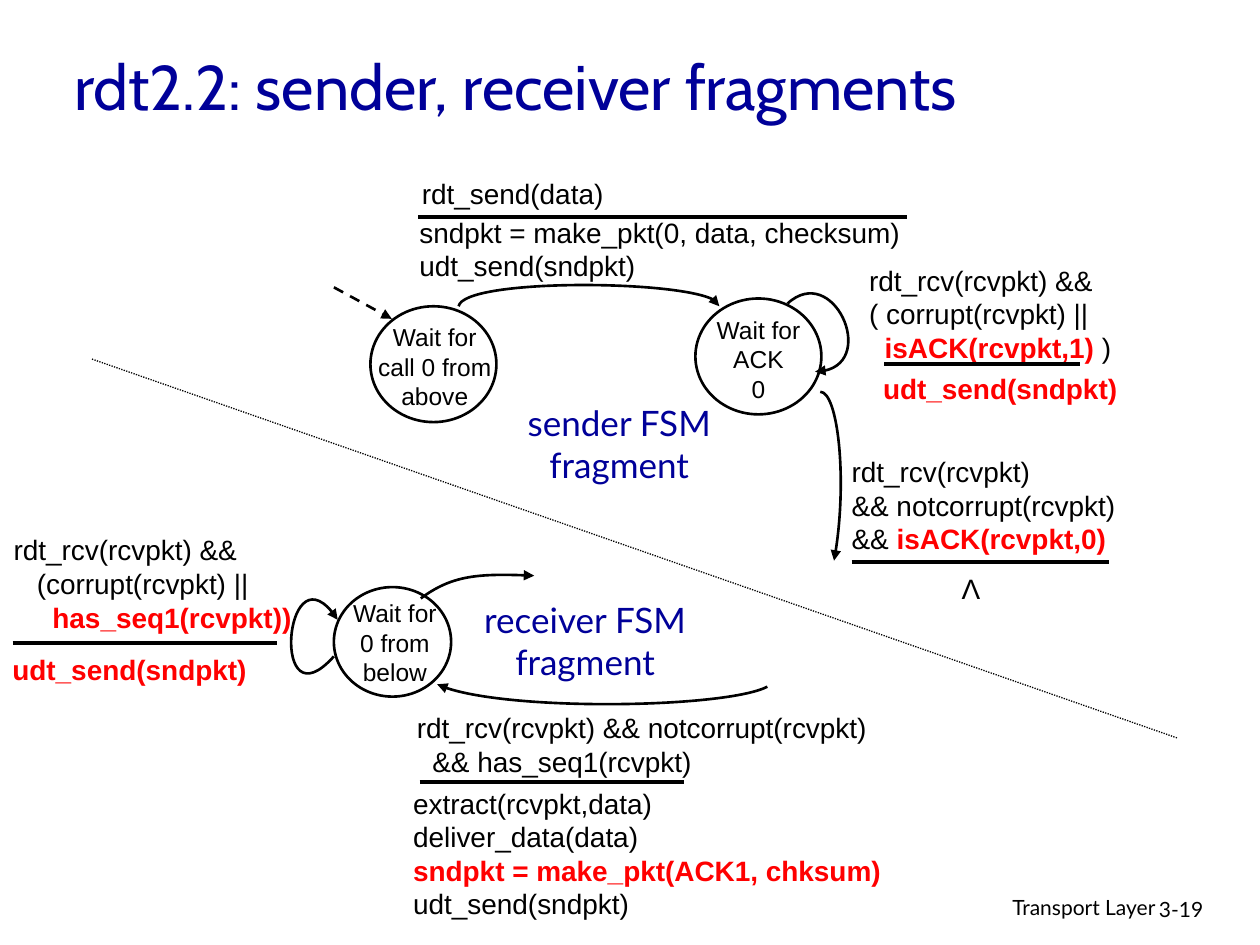
import pptx
import pptx.dml.color
import pptx.enum.dml
import pptx.enum.shapes
import pptx.enum.text
import pptx.oxml
import pptx.oxml.ns
import pptx.util
from lxml import etree

Pt = pptx.util.Pt
qn = pptx.oxml.ns.qn
RGBColor = pptx.dml.color.RGBColor
ALIGN = pptx.enum.text.PP_ALIGN
DASH = pptx.enum.dml.MSO_LINE

BLACK = RGBColor(0x00, 0x00, 0x00)
WHITE = RGBColor(0xFF, 0xFF, 0xFF)
RED = RGBColor(0xFF, 0x00, 0x00)
NAVY = RGBColor(0x00, 0x00, 0x99)


def add_run(p, text, size, font, color, bold=False):
    """Append one formatted run to a paragraph."""
    r = p.add_run()
    r.text = text
    r.font.size = Pt(size)
    r.font.name = font
    r.font.color.rgb = color
    r.font.bold = bold


def add_text(slide, x, y, w, h, lines, size=16, font="Arial", color=BLACK,
             align=ALIGN.LEFT, wrap=True, indents=()):
    """Add a text box; a line is a string or a list of (text, is_key) runs."""
    tf = slide.shapes.add_textbox(Pt(x), Pt(y), Pt(w), Pt(h)).text_frame
    tf.word_wrap = wrap
    for i, line in enumerate(lines):
        p = tf.paragraphs[0] if i == 0 else tf.add_paragraph()
        p.alignment = align
        if i < len(indents):
            p._p.get_or_add_pPr().set("marL", str(Pt(indents[i])))
        for text, key in [(line, False)] if isinstance(line, str) else line:
            add_run(p, text, size, font, RED if key else color, key)


def add_arrowhead(sp):
    """Put a triangle at the end of a line."""
    etree.SubElement(sp.line._get_or_add_ln(), qn("a:tailEnd"), type="triangle")


def add_line(slide, x1, y1, x2, y2, width=2.25, dash=None, arrow=False):
    """Add a straight black line."""
    sp = slide.shapes.add_connector(pptx.enum.shapes.MSO_CONNECTOR.STRAIGHT,
                                    Pt(x1), Pt(y1), Pt(x2), Pt(y2))
    sp.line.color.rgb = BLACK
    sp.line.width = Pt(width)
    if dash:
        sp.line.dash_style = dash
    if arrow:
        add_arrowhead(sp)
    etree.SubElement(sp._element.spPr, qn("a:effectLst"))


def add_curve(slide, x, y, points):
    """Add a curved arrow along a cubic Bezier, with points offset by x, y."""
    start, *rest = [(Pt(x + px), Pt(y + py)) for px, py in points]
    builder = slide.shapes.build_freeform(*start)
    builder.add_line_segments(rest, close=False)
    sp = builder.convert_to_shape()
    outline = next(sp._element.iter(qn("a:path")))
    bezier = etree.SubElement(outline, qn("a:cubicBezTo"))
    for segment in outline.findall(qn("a:lnTo")):
        bezier.append(segment[0])
        outline.remove(segment)
    sp.shadow.inherit = False
    sp.fill.background()
    sp.line.color.rgb = BLACK
    sp.line.width = Pt(1.5)
    add_arrowhead(sp)


def add_state(slide, x, y, w, h, label_dx, label_dy, label_w, lines):
    """Add a state circle with its label."""
    sp = slide.shapes.add_shape(pptx.enum.shapes.MSO_SHAPE.OVAL,
                                Pt(x), Pt(y), Pt(w), Pt(h))
    sp.shadow.inherit = False
    sp.fill.solid()
    sp.fill.fore_color.rgb = WHITE
    sp.line.color.rgb = BLACK
    sp.line.width = Pt(1.5)
    add_text(slide, x + label_dx, y + label_dy, label_w, 48, lines,
             size=14, align=ALIGN.CENTER)


def add_caption(slide, x, y, w, name):
    """Add the navy caption of one state machine."""
    add_text(slide, x, y, w, 55.4, [name, "fragment"], size=20, font="Lato",
             color=NAVY, align=ALIGN.CENTER, wrap=False)


def add_title(slide, x, y, w, h):
    """Fill and place the title placeholder."""
    sp = slide.shapes.title
    sp.left, sp.top, sp.width, sp.height = Pt(x), Pt(y), Pt(w), Pt(h)
    tf = sp.text_frame
    tf.vertical_anchor = pptx.enum.text.MSO_ANCHOR.MIDDLE
    p = tf.paragraphs[0]
    p.alignment = ALIGN.LEFT
    add_run(p, "rdt2.2: sender, receiver fragments", 36, "Cabin", NAVY)


def add_sender(slide, x, y):
    """Draw the sender state machine from its top left corner."""
    add_state(slide, x + 31.7, y + 85, 72, 66.2, -5, 5.7, 83.5,
              ["Wait for call 0 from above"])
    add_state(slide, x + 217.4, y + 80.6, 72, 66.2, -5.7, 5.8, 83.5,
              ["Wait for ACK", "0"])
    add_line(slide, x + 10.8, y + 74.2, x + 43.9, y + 92.2, 1.5, DASH.DASH, True)
    add_curve(slide, x, y, [(82.1, 85), (85, 69.1), (231.1, 69.8), (231.1, 85)])
    add_curve(slide, x, y, [(270, 83.5), (295.9, 59.8), (324, 121.7), (285.8, 122.4)])
    add_curve(slide, x, y, [(288.7, 133.9), (298.8, 133.9), (304.6, 187.2), (296.6, 230.4)])

    add_text(slide, x + 54, y + 7.2, 136, 22, ["rdt_send(data)"])
    add_line(slide, x + 59, y + 33.8, x + 338.4, y + 33.8)
    add_text(slide, x + 52.6, y + 29.5, 293, 32,
             ["sndpkt = make_pkt(0, data, checksum)", "udt_send(sndpkt)"])

    add_text(slide, x + 309.6, y + 56.9, 213.8, 45,
             ["rdt_rcv(rcvpkt) &&", "( corrupt(rcvpkt) ||",
              [("isACK(rcvpkt,1)", True), (" )", False)]], indents=(0, 0, 8.9))
    add_line(slide, x + 325.4, y + 118, x + 437, y + 118)
    add_text(slide, x + 317.5, y + 118.8, 167, 32, [[("udt_send(sndpkt)", True)]])

    add_text(slide, x + 299.5, y + 166.3, 190, 45,
             ["rdt_rcv(rcvpkt)", "&& notcorrupt(rcvpkt)",
              [("&& ", False), ("isACK(rcvpkt,0)", True)]])
    add_line(slide, x + 306.7, y + 231.1, x + 453.6, y + 231.1)
    add_text(slide, x + 360, y + 233.3, 29.5, 26.6, ["Λ"], align=ALIGN.CENTER)
    add_caption(slide, x + 111.6, y + 136, 124.6, "sender FSM")


def add_receiver(slide, x, y):
    """Draw the receiver state machine from its top left corner."""
    add_state(slide, x + 190.8, y + 35.5, 67, 62.6, 3.6, 2.9, 62.6,
              ["Wait for", "0 from below"])
    add_curve(slide, x, y, [(240.5, 42), (257.8, 29), (275, 27.6), (305.3, 29)])
    add_curve(slide, x, y, [(438.5, 92.4), (414.7, 104.6), (283, 106.8), (249.8, 91)])
    add_curve(slide, x, y, [(190.8, 75.1), (154.8, 115.4), (162.7, 8.2), (193, 54.2)])

    add_text(slide, x + 0.7, y + 1, 186, 50,
             ["rdt_rcv(rcvpkt) &&", "(corrupt(rcvpkt) ||",
              [("has_seq1(rcvpkt))", True)]], indents=(0, 13.3, 22.2))
    add_line(slide, x + 7.2, y + 67.2, x + 158.4, y + 67.2)
    add_text(slide, x, y + 69.4, 160.6, 32, [[("udt_send(sndpkt)", True)]])

    add_text(slide, x + 231.1, y + 102.5, 310, 45,
             ["rdt_rcv(rcvpkt) && notcorrupt(rcvpkt)", "&& has_seq1(rcvpkt)"],
             indents=(0, 8.9))
    add_line(slide, x + 239.8, y + 147.1, x + 391, y + 147.1)
    add_text(slide, x + 229, y + 145.7, 329, 55,
             ["extract(rcvpkt,data)", "deliver_data(data)",
              [("sndpkt = make_pkt(ACK1, chksum)", True)], "udt_send(sndpkt)"])
    add_caption(slide, x + 267.1, y + 38.4, 134.6, "receiver FSM")


def add_footer(slide, x, y):
    """Add the chapter name and page number."""
    add_text(slide, x, y, 228.2, 22.3, ["Transport Layer"], size=12,
             font="Lato", align=ALIGN.RIGHT)
    add_text(slide, x + 216, y + 1.4, 53.3, 21.6, ["3-19"], size=12, font="Lato")


def main():
    """Build and save the slide."""
    prs = pptx.Presentation()
    prs.slide_width, prs.slide_height = Pt(720), Pt(540)
    slide = prs.slides.add_slide(prs.slide_layouts[5])
    add_title(slide, 35.3, 13.7, 612, 69.8)
    add_sender(slide, 180, 90)
    add_line(slide, 52.6, 205.2, 673.2, 421.9, 0.75, DASH.ROUND_DOT)
    add_receiver(slide, 0, 300)
    add_footer(slide, 439.2, 507.6)
    prs.save("out.pptx")


if __name__ == "__main__":
    main()
